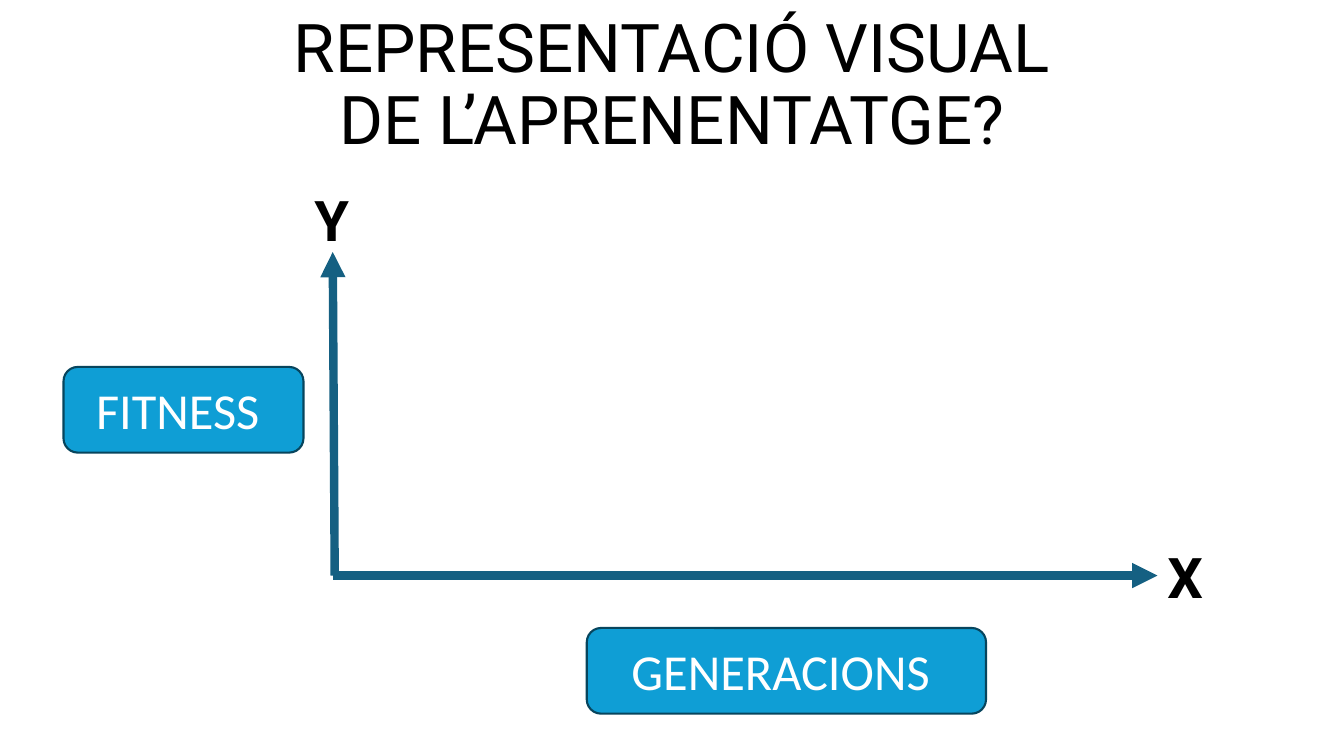
from dataclasses import dataclass

from pptx import Presentation
from pptx.dml.color import RGBColor as RGB
from pptx.enum.shapes import MSO_CONNECTOR as CONN, MSO_SHAPE as SHAPE
from pptx.enum.text import MSO_ANCHOR as ANCHOR, MSO_AUTO_SIZE as AUTO, PP_ALIGN as ALIGN
from pptx.oxml.ns import qn
from pptx.util import Pt
from lxml.etree import SubElement

PX = 9144  # EMU per px, 100 px to the inch


@dataclass(frozen=True)
class Theme:
    ink: RGB = RGB(0x00, 0x00, 0x00)
    paper: RGB = RGB(0xFF, 0xFF, 0xFF)
    box: RGB = RGB(0x0F, 0x9E, 0xD5)
    border: RGB = RGB(0x07, 0x45, 0x5D)
    axis: RGB = RGB(0x15, 0x60, 0x82)
    head_font: str = "Roboto"
    box_font: str = "Calibri"
    title_size: int = 48
    letter_size: int = 40
    box_size: int = 36
    border_width: float = 1.5
    axis_width: int = 6


THEME = Theme()


def px(*lengths):
    return [n * PX for n in lengths]


def set_text(tf, text, font, size, color, align, bold=False):
    tf.text = text
    p = tf.paragraphs[0]
    p.alignment = align
    f = p.runs[0].font
    f.name, f.size, f.bold = font, Pt(size), bold
    f.color.rgb = color
    return p


def add_title(s, text, *at):
    tf = s.shapes.add_textbox(*px(*at)).text_frame
    tf.word_wrap = True
    tf.vertical_anchor = ANCHOR.BOTTOM
    p = set_text(tf, text, THEME.head_font, THEME.title_size, THEME.ink, ALIGN.CENTER)
    p.line_spacing = 0.9


def add_box(s, text, *at):
    sp = s.shapes.add_shape(SHAPE.ROUNDED_RECTANGLE, *px(*at))
    sp.shadow.inherit = False
    sp.fill.solid()
    sp.fill.fore_color.rgb = THEME.box
    sp.line.color.rgb = THEME.border
    sp.line.width = Pt(THEME.border_width)
    tf = sp.text_frame
    tf.vertical_anchor = ANCHOR.MIDDLE
    set_text(tf, text, THEME.box_font, THEME.box_size, THEME.paper, ALIGN.CENTER)


def add_letter(s, text, *at):
    sp = s.shapes.add_textbox(*px(*at))
    tf = sp.text_frame
    tf.word_wrap = False
    tf.auto_size = AUTO.SHAPE_TO_FIT_TEXT
    set_text(tf, text, THEME.head_font, THEME.letter_size, THEME.ink, ALIGN.LEFT, bold=True)
    return sp


def add_axis(s, *ends):
    axis = s.shapes.add_connector(CONN.STRAIGHT, *px(*ends))
    axis.line.color.rgb = THEME.axis
    axis.line.width = Pt(THEME.axis_width)
    SubElement(axis.line._get_or_add_ln(), qn("a:tailEnd"), type="triangle")
    SubElement(axis._element.spPr, qn("a:effectLst"))
    return axis


def main():
    prs = Presentation()
    prs.slide_width, prs.slide_height = px(1333, 750)
    s = prs.slides.add_slide(prs.slide_layouts[6])

    # Title
    add_title(s, "REPRESENTACIÓ VISUAL DE L’APRENENTATGE?", 234, 15, 865, 148)

    # Axis names
    add_box(s, "FITNESS ", 63, 364, 238, 85)
    add_box(s, "GENERACIONS ", 582, 623, 396, 85)

    # Axes and their letters
    add_axis(s, 332, 571, 330, 250)
    x_axis = add_axis(s, 330, 571, 1148, 571)
    x_letter = add_letter(s, "X", 1148, 533, 60, 76)
    x_axis.end_connect(x_letter, 1)
    add_letter(s, "Y", 302, 179, 56, 76)

    prs.save("out.pptx")


if __name__ == "__main__":
    main()
